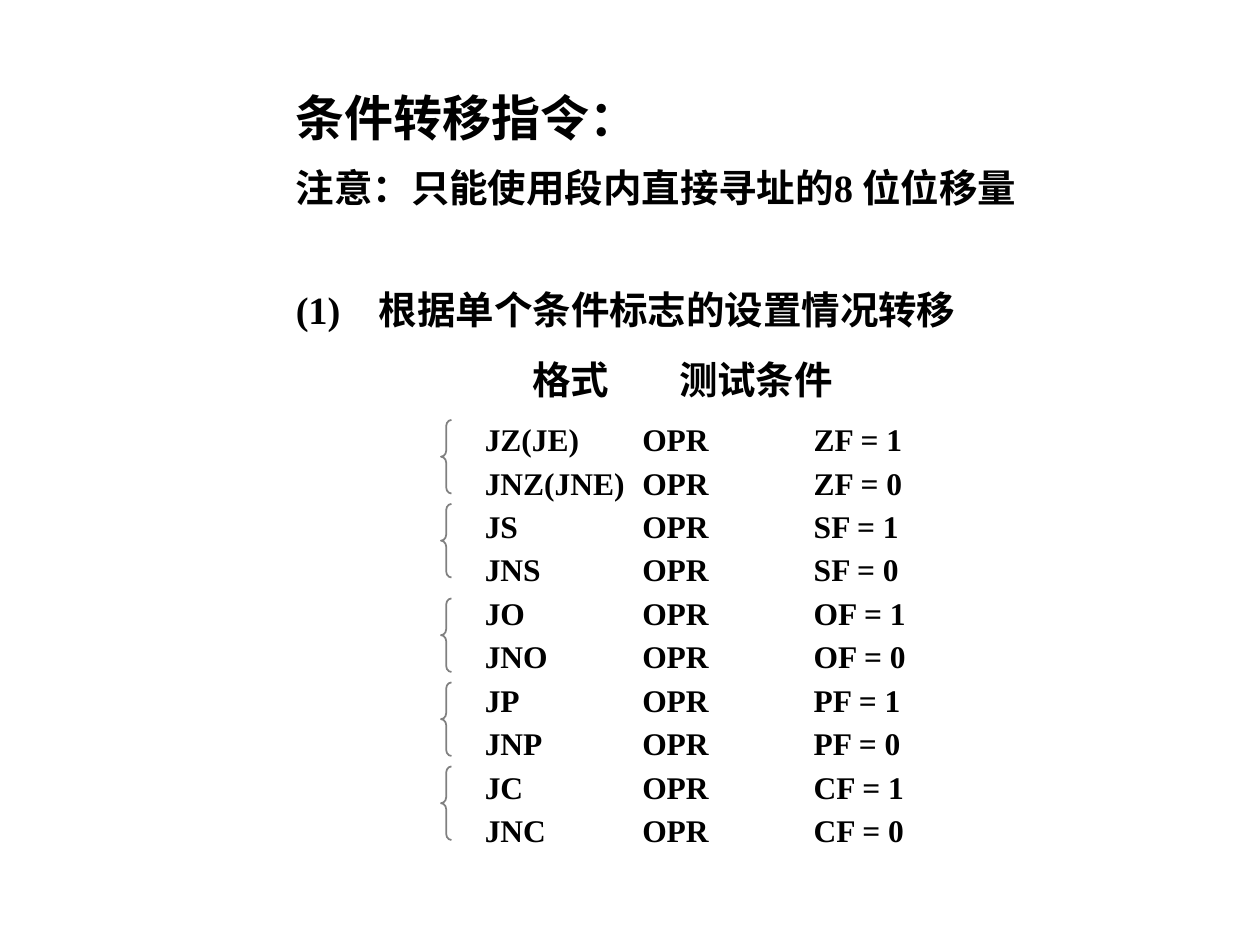
import pptx
import pptx.util
import pptx.dml.color
import pptx.enum.shapes
import pptx.enum.text
import pptx.oxml.ns
import lxml.etree

Pt = pptx.util.Pt
RGBColor = pptx.dml.color.RGBColor

THEME = {
    "latin": "Times New Roman",
    "east_asian": "Noto Sans CJK SC",
    "text": RGBColor(0, 0, 0),
    "brace": RGBColor(0x80, 0x80, 0x80),
    "title_size": 28,
    "body_size": 22,
    "code_size": 18,
}


def prepare_frame(shape):
    frame = shape.text_frame
    frame.word_wrap = True
    frame.auto_size = pptx.enum.text.MSO_AUTO_SIZE.NONE
    frame.vertical_anchor = pptx.enum.text.MSO_ANCHOR.TOP
    frame.margin_left = frame.margin_right = Pt(0)
    frame.margin_top = frame.margin_bottom = Pt(0)
    return frame


def write_line(frame, index, text, size, line_height, before=0, tabs=()):
    paragraph = frame.paragraphs[0] if index == 0 else frame.add_paragraph()
    paragraph.text = text
    paragraph.alignment = pptx.enum.text.PP_ALIGN.LEFT
    paragraph.line_spacing = Pt(line_height)
    paragraph.space_before = Pt(before)
    qn = pptx.oxml.ns.qn
    if tabs:
        tab_list = lxml.etree.SubElement(paragraph._p.get_or_add_pPr(), qn("a:tabLst"))
        for position in tabs:
            lxml.etree.SubElement(tab_list, qn("a:tab"), pos=str(int(Pt(position))), algn="l")
    font = paragraph.font
    font.size = Pt(size)
    font.bold = True
    font.color.rgb = THEME["text"]
    font.name = THEME["latin"]
    lxml.etree.SubElement(font._element, qn("a:ea"), typeface=THEME["east_asian"])


presentation = pptx.Presentation()
presentation.slide_width = Pt(720)
presentation.slide_height = Pt(540)
slide = presentation.slides.add_slide(presentation.slide_layouts[5])

# Title
title = slide.shapes.title
title.left, title.top, title.width, title.height = Pt(169), Pt(43.6), Pt(430), Pt(40)
write_line(prepare_frame(title), 0, "条件转移指令：", THEME["title_size"], 40)

# Note, section heading and column headings
body = prepare_frame(slide.shapes.add_textbox(Pt(169), Pt(90), Pt(430), Pt(142)))
body_lines = [
    ("注意：只能使用段内直接寻址的8 位位移量", 0, ()),
    ("(1)\t根据单个条件标志的设置情况转移", 40, (47.5,)),
    ("\t格式\t测试条件", 10, (135, 219)),
]
for index, (text, before, tabs) in enumerate(body_lines):
    write_line(body, index, text, THEME["body_size"], 30, before, tabs)

# Jump instructions: each flag has one jump when set and one when clear
jumps = [
    ("JZ(JE)", "JNZ(JNE)", "ZF"),
    ("JS", "JNS", "SF"),
    ("JO", "JNO", "OF"),
    ("JP", "JNP", "PF"),
    ("JC", "JNC", "CF"),
]
rows = [
    f"{name}\tOPR\t{flag} = {value}"
    for jump_set, jump_clear, flag in jumps
    for name, value in ((jump_set, 1), (jump_clear, 0))
]
listing = prepare_frame(slide.shapes.add_textbox(Pt(277), Pt(236.8), Pt(322), Pt(250)))
for index, row in enumerate(rows):
    write_line(listing, index, row, THEME["code_size"], 24.83, tabs=(90, 188))

# One brace for each pair of jumps
braces = slide.shapes.add_group_shape()
for top in (240, 288, 342, 390, 438):
    brace = braces.shapes.add_shape(
        pptx.enum.shapes.MSO_SHAPE.LEFT_BRACE, Pt(252), Pt(top), Pt(6), Pt(42)
    )
    brace.shadow.inherit = False
    brace.adjustments[0] = 0.58
    brace.fill.background()
    brace.line.color.rgb = THEME["brace"]
    brace.line.width = Pt(1)

presentation.save("out.pptx")
